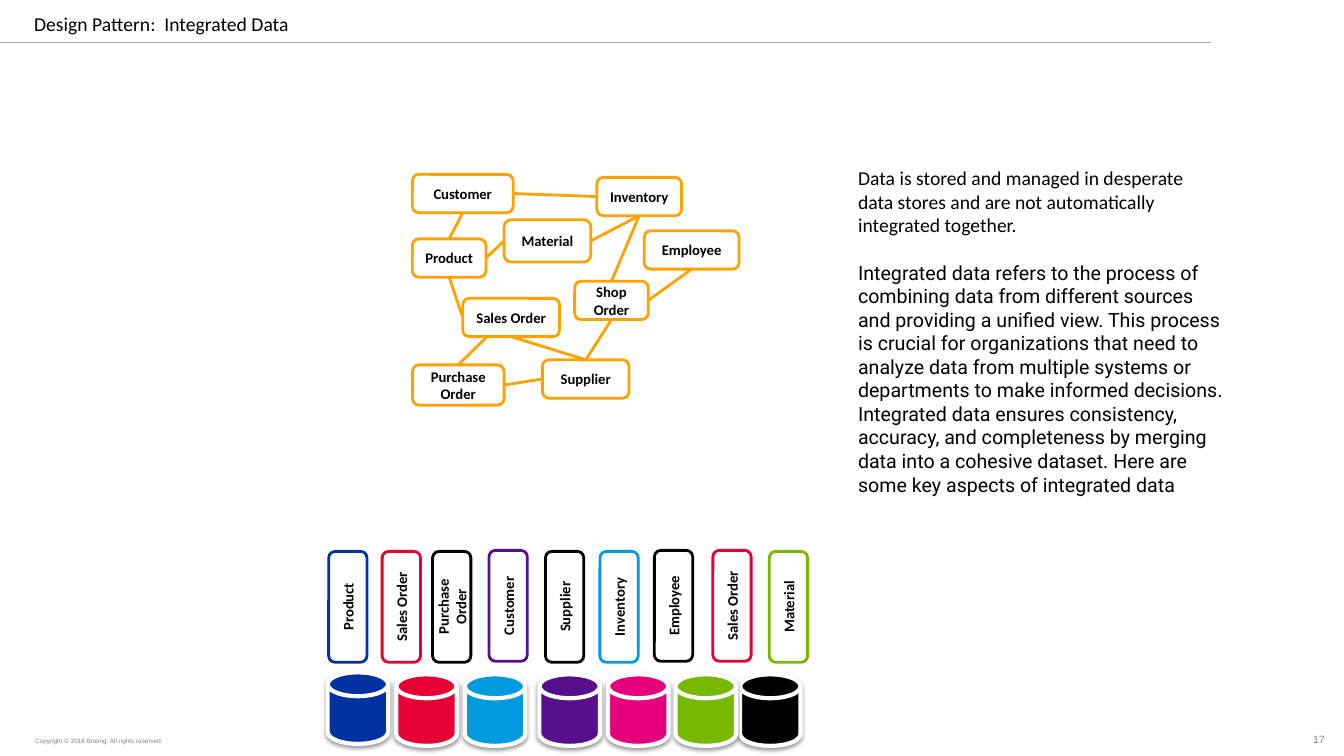
from pptx import Presentation
from pptx.dml.color import RGBColor
from pptx.enum.shapes import MSO_CONNECTOR, MSO_SHAPE
from pptx.enum.text import MSO_ANCHOR, PP_ALIGN
from pptx.oxml import parse_xml
from pptx.oxml.ns import nsdecls
from pptx.util import Inches, Pt

BLACK = RGBColor(0x00, 0x00, 0x00)
WHITE = RGBColor(0xFF, 0xFF, 0xFF)
GRAY = RGBColor(0x80, 0x80, 0x80)
RULE = RGBColor(0xA5, 0xAC, 0xB0)
ORANGE = RGBColor(0xFF, 0xA2, 0x00)
BLUE = RGBColor(0x00, 0x33, 0xA1)
RED = RGBColor(0xE7, 0x00, 0x33)
CYAN = RGBColor(0x00, 0x9B, 0xDF)
PURPLE = RGBColor(0x58, 0x0F, 0x8B)
PINK = RGBColor(0xE5, 0x00, 0x7E)
GREEN = RGBColor(0x77, 0xB8, 0x00)

TITLE = "Design Pattern:  Integrated Data"
COPYRIGHT = "Copyright © 2018 Boeing. All rights reserved."
PAGE = "17"
EXPLANATION = [
    ("Data is stored and managed in desperate data stores and are not "
     "automatically integrated together.", "Calibri"),
    ("Integrated data refers to the process of combining data from different "
     "sources and providing a unified view. This process is crucial for "
     "organizations that need to analyze data from multiple systems or "
     "departments to make informed decisions. Integrated data ensures "
     "consistency, accuracy, and completeness by merging data into a cohesive "
     "dataset. Here are some key aspects of integrated data", "Roboto"),
]

ENTITIES = {
    "Material": (5, 2.18, 0.86, 0.42),
    "Shop Order": (5.7, 2.79, 0.73, 0.38),
    "Sales Order": (4.59, 2.96, 0.96, 0.38),
    "Customer": (4.09, 1.73, 1, 0.38),
    "Inventory": (5.92, 1.76, 0.84, 0.38),
    "Product": (4.09, 2.37, 0.73, 0.38),
    "Supplier": (5.38, 3.57, 0.86, 0.38),
    "Employee": (6.39, 2.29, 0.94, 0.38),
    "Purchase Order": (4.09, 3.62, 0.91, 0.4),
}
TOP, LEFT, BOTTOM, RIGHT = range(4)
RELATIONS = [
    ("Customer", RIGHT, "Inventory", LEFT),
    ("Material", RIGHT, "Inventory", BOTTOM),
    ("Shop Order", TOP, "Inventory", BOTTOM),
    ("Product", BOTTOM, "Sales Order", LEFT),
    ("Product", RIGHT, "Material", LEFT),
    ("Shop Order", BOTTOM, "Supplier", TOP),
    ("Sales Order", BOTTOM, "Supplier", TOP),
    ("Purchase Order", RIGHT, "Supplier", LEFT),
    ("Product", TOP, "Customer", BOTTOM),
    ("Shop Order", RIGHT, "Employee", BOTTOM),
]
SOURCES = [
    ("Product", BLUE, 3.45, 6.02), ("Sales Order", RED, 3.98, 6.02),
    ("Purchase Order", BLACK, 4.48, 6.02), ("Customer", PURPLE, 5.04, 6.01),
    ("Supplier", BLACK, 5.6, 6.02), ("Inventory", CYAN, 6.14, 6.02),
    ("Employee", BLACK, 6.68, 6.01), ("Sales Order", RED, 7.26, 6.01),
    ("Material", GREEN, 7.82, 6.02),
]
CARD_LENGTH, CARD_DEPTH = 1.1, 0.38
STORES = [
    (BLACK, 7.34, 6.69), (GREEN, 6.7, 6.69), (PINK, 6.03, 6.69),
    (PURPLE, 5.35, 6.69), (CYAN, 4.61, 6.69), (RED, 3.93, 6.69),
    (BLUE, 3.25, 6.67),
]
STORE_SIZE = 0.6, 0.71

deck = Presentation()
deck.slide_width, deck.slide_height = Inches(13.33), Inches(7.5)
slide = deck.slides.add_slide(deck.slide_layouts[6])
shapes = slide.shapes


def inches(*lengths):
    return [Inches(length) for length in lengths]


def set_font(paragraph, size, face, color, bold=False):
    font = paragraph.font
    font.size, font.name, font.bold = Pt(size), face, bold
    font.color.rgb = color


def add_text(box, text, size, face, color, inset=None, wrap=True,
             anchor=MSO_ANCHOR.TOP, align=PP_ALIGN.LEFT):
    frame = shapes.add_textbox(*inches(*box)).text_frame
    frame.word_wrap, frame.vertical_anchor = wrap, anchor
    if inset is not None:
        frame.margin_left = frame.margin_right = Inches(inset)
        frame.margin_top = frame.margin_bottom = Inches(inset)
    paragraph = frame.paragraphs[0]
    paragraph.text, paragraph.alignment = text, align
    set_font(paragraph, size, face, color)
    return frame


def add_outlined(kind, box, fill, line, width):
    shape = shapes.add_shape(kind, *inches(*box))
    shape.shadow.inherit = False
    shape.fill.solid()
    shape.fill.fore_color.rgb = fill
    shape.line.color.rgb = line
    shape.line.width = Pt(width)
    return shape


def add_card(text, box, color):
    card = add_outlined(MSO_SHAPE.ROUNDED_RECTANGLE, box, WHITE, color, 2)
    frame = card.text_frame
    frame.word_wrap, frame.vertical_anchor = True, MSO_ANCHOR.MIDDLE
    paragraph = frame.paragraphs[0]
    paragraph.text, paragraph.alignment = text, PP_ALIGN.CENTER
    set_font(paragraph, 10.5, "Calibri", BLACK, True)
    return card


def add_line(start, end, color, width):
    line = shapes.add_connector(MSO_CONNECTOR.STRAIGHT, *inches(*start, *end))
    line.line.color.rgb = color
    line.line.width = Pt(width)
    line._element.spPr.append(parse_xml(f"<a:effectLst {nsdecls('a')}/>"))
    return line


add_line((12.01, 0.42), (0, 0.42), RULE, 0.75)
add_text((0.34, 7.31, 2.26, 0.09), COPYRIGHT, 4.5, "Arial", GRAY,
         inset=0.01, anchor=MSO_ANCHOR.BOTTOM)
add_text((11.2, 7.14, 1.95, 0.27), PAGE, 7.5, "Arial", GRAY,
         inset=0.01, anchor=MSO_ANCHOR.BOTTOM, align=PP_ALIGN.RIGHT)
add_text((0.24, 0.07, 2.75, 0.34), TITLE, 14, "Calibri", BLACK, wrap=False)

entity_cards = {name: add_card(name, box, ORANGE)
                for name, box in ENTITIES.items()}
for origin, origin_side, target, target_side in RELATIONS:
    relation = add_line((0, 0), (1, 1), ORANGE, 2)
    relation.begin_connect(entity_cards[origin], origin_side)
    relation.end_connect(entity_cards[target], target_side)

left, top, width, height = ENTITIES["Sales Order"]
purchase = add_line((left + width / 4, top + height), (4.54, 3.62), ORANGE, 2)
purchase.end_connect(entity_cards["Purchase Order"], TOP)

for name, color, center_x, center_y in SOURCES:
    box = (center_x - CARD_LENGTH / 2, center_y - CARD_DEPTH / 2,
           CARD_LENGTH, CARD_DEPTH)
    add_card(name, box, color).rotation = 270

for color, left, top in STORES:
    store = add_outlined(MSO_SHAPE.FLOWCHART_MAGNETIC_DISK,
                         (left, top, *STORE_SIZE), color, WHITE, 3)
    effects = store._element.spPr.find(
        "{http://schemas.openxmlformats.org/drawingml/2006/main}effectLst")
    effects.append(parse_xml(
        f'<a:outerShdw {nsdecls("a")} blurRad="{Pt(3.1)}" dist="{Pt(1.6)}" '
        'dir="5400000" rotWithShape="0"><a:srgbClr val="000000">'
        '<a:alpha val="38000"/></a:srgbClr></a:outerShdw>'))

(opening, opening_face), (detail, detail_face) = EXPLANATION
explanation = add_text((7.91, 1.6, 4.32, 3.4), opening, 14, opening_face, BLACK)
detail_paragraph = explanation.add_paragraph()
detail_paragraph.text = detail
detail_paragraph.space_before = Pt(17)
set_font(detail_paragraph, 14, detail_face, BLACK)
explanation.margin_left = Inches(0.6)

deck.save("out.pptx")
